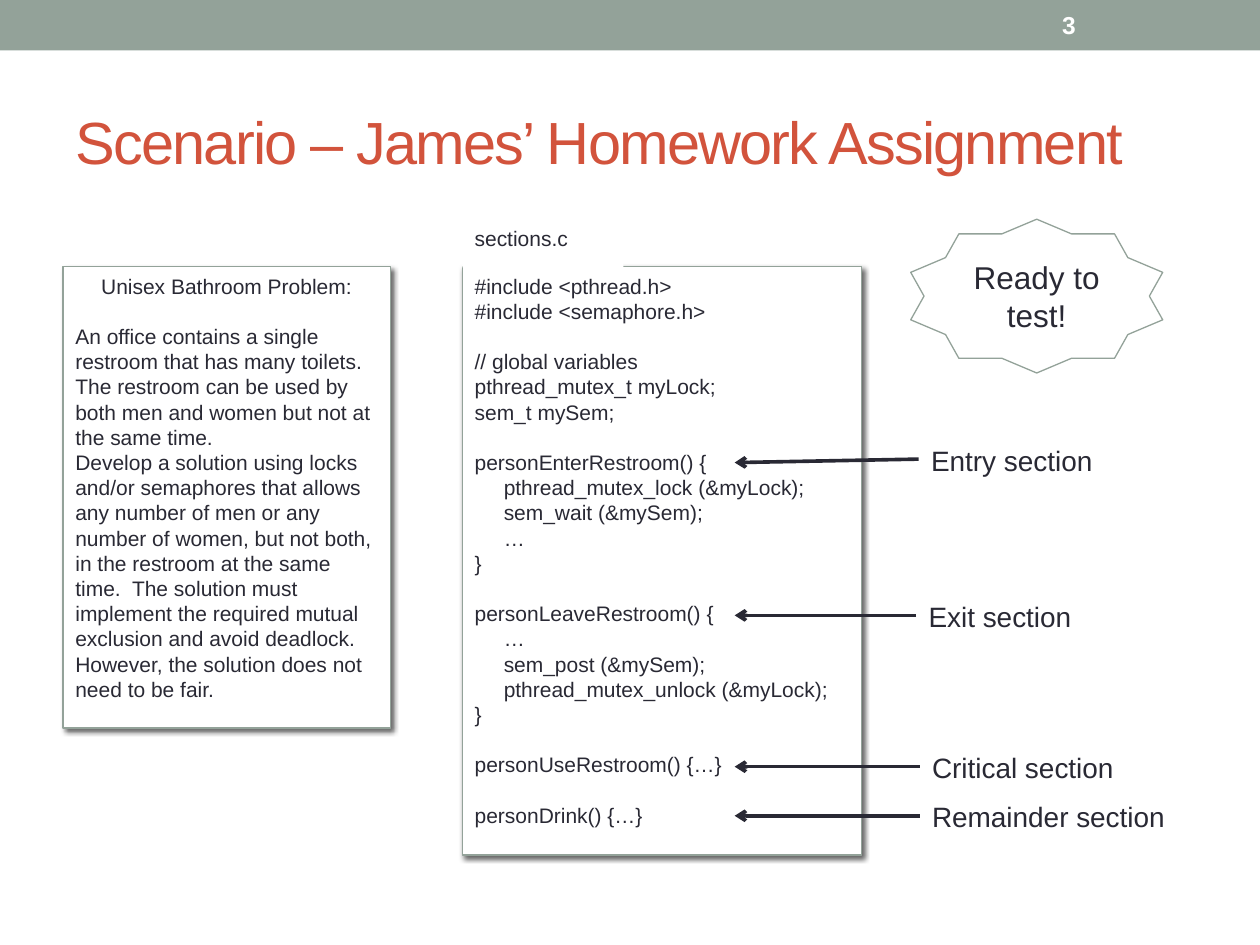
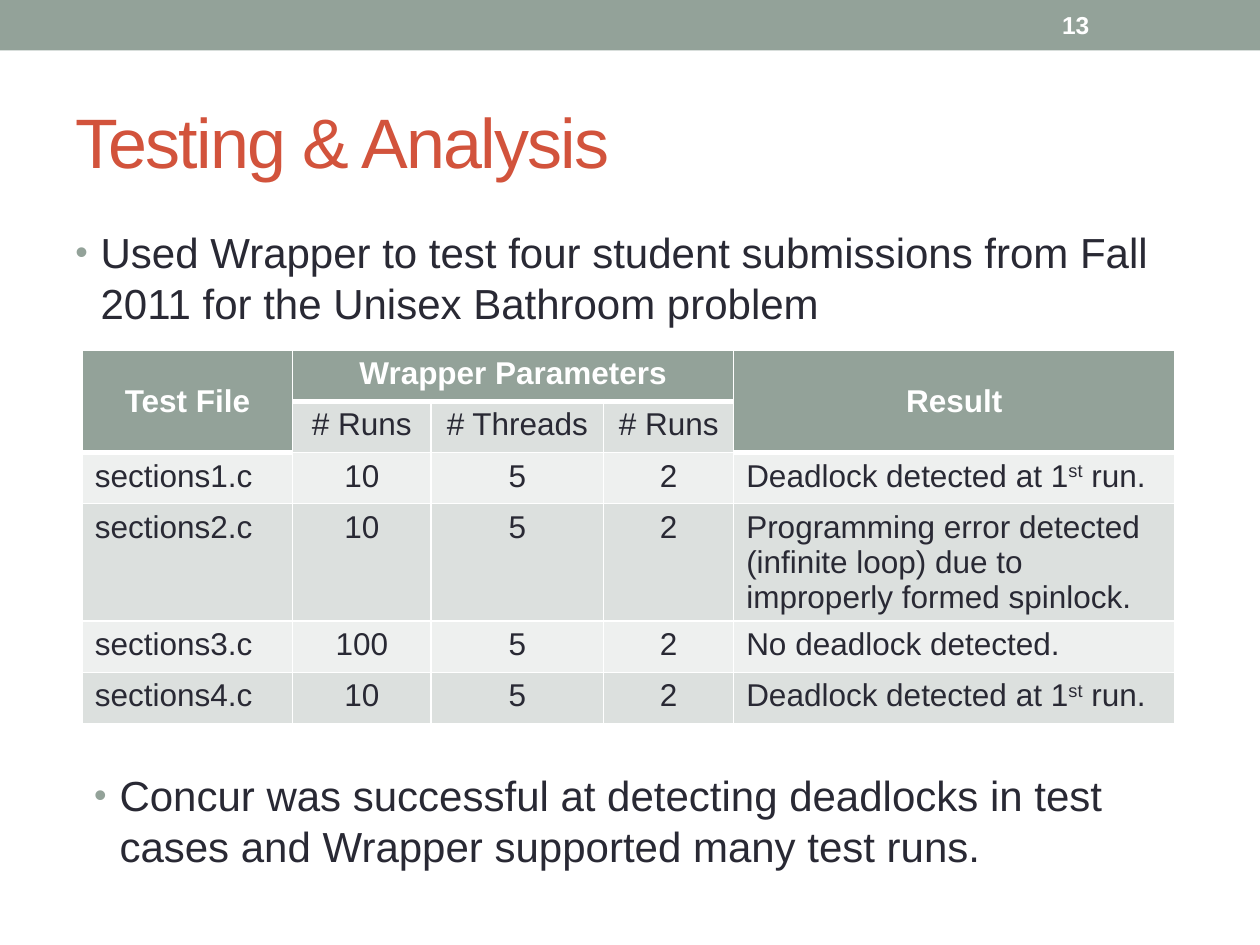
from dataclasses import dataclass

from lxml.etree import SubElement
from pptx import Presentation
from pptx.dml.color import RGBColor
from pptx.enum.shapes import MSO_CONNECTOR, MSO_SHAPE
from pptx.enum.text import MSO_ANCHOR, PP_ALIGN
from pptx.oxml.ns import qn
from pptx.util import Cm, Pt

# Shared look
HUES = {"sage": "93A299", "rust": "D2533C", "ink": "292934",
        "white": "FFFFFF", "pale": "EEF0EF", "mist": "DCE0DE"}
LEFT, MID = PP_ALIGN.LEFT, PP_ALIGN.CENTER
FONT = "Arial"
LEAD = 1.2


def hue(name: str) -> RGBColor:
    return RGBColor.from_string(HUES[name])


@dataclass
class Style:
    size: float
    color: str = "ink"
    bold: bool = False
    align: int = LEFT
    anchor: int = MSO_ANCHOR.TOP
    lead: float = 0
    track: int = 0
    dot: bool = False


@dataclass
class Box:
    left: float
    top: float
    wide: float
    high: float

    def area(self) -> tuple:
        return Cm(self.left), Cm(self.top), Cm(self.wide), Cm(self.high)


@dataclass
class Label:
    text: str
    box: Box
    drop: float = 0


MIDDLE = MSO_ANCHOR.MIDDLE
NUMBER = Style(14, "white", True, anchor=MIDDLE)
BODY = Style(12)
NOTE = Style(16)
STAR = Style(18, align=MID, anchor=MIDDLE)
BULLET = Style(24, dot=True)


# Text
def add_dot(para) -> None:
    props = para._p.get_or_add_pPr()
    for key, value in {"marL": Cm(0.51), "indent": -Cm(0.51)}.items():
        props.set(key, str(int(value)))
    tint = SubElement(props, qn("a:buClr"))
    SubElement(tint, qn("a:srgbClr"), val=HUES["sage"])
    SubElement(props, qn("a:buSzPct"), val="85000")
    SubElement(props, qn("a:buFont"), typeface=FONT)
    SubElement(props, qn("a:buChar"), char="•")


def add_runs(para, text: str, style: Style) -> None:
    """Text between carets is raised."""
    form = {"name": FONT, "size": Pt(style.size), "bold": style.bold}
    for pos, part in enumerate(text.split("^")):
        run = para.add_run()
        run.text = part
        for key, value in form.items():
            setattr(run.font, key, value)
        run.font.color.rgb = hue(style.color)
        props = run._r.get_or_add_rPr()
        if style.track:
            props.set("spc", str(style.track))
        if pos % 2:
            props.set("baseline", "30000")


def write(frame, lines: list[str], style: Style, head: int | None = None) -> None:
    """An empty line becomes space before the next paragraph."""
    lead = Pt(style.lead or style.size * LEAD)
    frame.word_wrap = True
    frame.vertical_anchor = style.anchor
    gap = False
    for pos, text in enumerate(lines):
        if not text:
            gap = True
            continue
        para = frame.paragraphs[0] if pos == 0 else frame.add_paragraph()
        if style.dot:
            add_dot(para)
        form = {"alignment": style.align, "line_spacing": lead}
        if gap:
            form["space_before"] = lead
        if pos == 0 and head is not None:
            form["alignment"] = head
        for key, value in form.items():
            setattr(para, key, value)
        add_runs(para, text, style)
        gap = False


# Drawing helpers
def add_text(slide, box: Box, lines: list[str], style: Style) -> None:
    write(slide.shapes.add_textbox(*box.area()).text_frame, lines, style)


def add_form(slide, kind: int, box: Box, fill: str | None, line: str | None = None):
    shape = slide.shapes.add_shape(kind, *box.area())
    shape.shadow.inherit = False
    if fill:
        shape.fill.solid()
        shape.fill.fore_color.rgb = hue(fill)
    else:
        shape.fill.background()
    if line:
        shape.line.color.rgb = hue(line)
        shape.line.width = Pt(0.75)
    else:
        shape.line.fill.background()
    return shape


def add_shade(shape) -> None:
    effect = shape._element.spPr.find(qn("a:effectLst"))
    shade = SubElement(effect, qn("a:outerShdw"), blurRad=str(Pt(3)), dist=str(Pt(2)),
                       dir="2700000", algn="br", rotWithShape="0")
    tint = SubElement(shade, qn("a:srgbClr"), val="000000")
    SubElement(tint, qn("a:alpha"), val="60000")


def add_panel(slide, box: Box, lines: list[str], head: int) -> None:
    shape = add_form(slide, MSO_SHAPE.RECTANGLE, box, "white", "sage")
    add_shade(shape)
    write(shape.text_frame, lines, BODY, head)


def add_label(slide, label: Label, style: Style) -> None:
    shape = add_form(slide, MSO_SHAPE.RECTANGLE, label.box, "white")
    write(shape.text_frame, [label.text], style)


def add_arrow(slide, label: Label, tip: float) -> None:
    y = label.box.top + label.box.high / 2
    line = slide.shapes.add_connector(MSO_CONNECTOR.STRAIGHT, Cm(label.box.left), Cm(y),
                                      Cm(tip), Cm(y + label.drop))
    line.line.color.rgb = hue("ink")
    line.line.width = Pt(2.08)
    SubElement(line.line._get_or_add_ln(), qn("a:tailEnd"), type="arrow")
    SubElement(line._element.spPr, qn("a:effectLst"))


def add_base(deck, title: str, size: float, number: int):
    """Blank slide with band, title and number."""
    slide = deck.slides.add_slide(deck.slide_layouts[6])
    add_form(slide, MSO_SHAPE.RECTANGLE, Box(0, 0, 25.4, 1.02), "sage")
    add_text(slide, Box(1.27, 1.47, 22.86, 2.74), [title],
             Style(size, "rust", anchor=MIDDLE, track=-100))
    add_text(slide, Box(21.16, 0.05, 2.97, 0.91), [str(number)], NUMBER)
    return slide


# Scenario slide
TASK = [
    "Unisex Bathroom Problem:",
    "",
    "An office contains a single restroom that has many toilets.  The restroom can be "
    "used by both men and women but not at the same time.",
    "Develop a solution using locks and/or semaphores that allows any number of men or "
    "any number of women, but not both, in the restroom at the same time.  The solution "
    "must implement the required mutual exclusion and avoid deadlock.  However, the "
    "solution does not need to be fair.",
]
CODE = """#include <pthread.h>
#include <semaphore.h>

// global variables
pthread_mutex_t myLock;
sem_t mySem;

personEnterRestroom() {
     pthread_mutex_lock (&myLock);
     sem_wait (&mySem);
     …
}

personLeaveRestroom() {
     …
     sem_post (&mySem);
     pthread_mutex_unlock (&myLock);
}

personUseRestroom() {…}

personDrink() {…}"""
PARTS = [
    Label("Entry section", Box(18.52, 8.81, 4.19, 0.89), 0.07),
    Label("Exit section", Box(18.47, 11.96, 4.19, 0.89)),
    Label("Critical section", Box(18.54, 15.01, 4.19, 0.89)),
    Label("Remainder section", Box(18.54, 16, 5.44, 0.89)),
]


def draw_task(deck) -> None:
    slide = add_base(deck, "Scenario – James’ Homework Assignment", 34, 3)
    add_panel(slide, Box(1.27, 5.38, 6.6, 9.3), TASK, MID)
    add_panel(slide, Box(9.32, 5.38, 8.05, 11.86), CODE.split("\n"), LEFT)
    add_label(slide, Label("sections.c", Box(9.32, 4.42, 3.25, 0.97)), BODY)
    for part in PARTS:
        add_label(slide, part, NOTE)
    for part in PARTS:
        add_arrow(slide, part, 14.81)
    star = add_form(slide, MSO_SHAPE.STAR_10_POINT, Box(18.36, 4.42, 5.08, 3.1), None, "sage")
    write(star.text_frame, ["Ready to test!"], STAR)


# Testing slide
COLS = [4.24, 2.79, 3.48, 2.62, 8.89]
ROW = 1.03
LOCK = "Deadlock detected at 1^st^ run."
ROWS = [
    ["Test File", "Wrapper Parameters", "", "", "Result"],
    ["", "# Runs", "# Threads", "# Runs", ""],
    ["sections1.c", "10", "5", "2", LOCK],
    ["sections2.c", "10", "5", "2",
     "Programming error detected (infinite loop) due to improperly formed spinlock."],
    ["sections3.c", "100", "5", "2", "No deadlock detected."],
    ["sections4.c", "10", "5", "2", LOCK],
]
SPANS = [((0, 0), (1, 0)), ((0, 1), (0, 3)), ((0, 4), (1, 4))]


def add_rims(cell, top: float, base: float) -> None:
    props = cell._tc.get_or_add_tcPr()
    for side, width in {"L": 1, "R": 1, "T": top, "B": base}.items():
        rim = SubElement(props, qn(f"a:ln{side}"), w=str(Pt(width)))
        fill = SubElement(rim, qn("a:solidFill"))
        SubElement(fill, qn("a:srgbClr"), val=HUES["white"])


def add_grid(slide) -> None:
    box = Box(1.66, 7.06, sum(COLS), ROW * len(ROWS))
    grid = slide.shapes.add_table(len(ROWS), len(COLS), *box.area()).table
    for col, wide in zip(grid.columns, COLS):
        col.width = Cm(wide)
    for row in grid.rows:
        row.height = Cm(ROW)
    for start, end in SPANS:
        grid.cell(*start).merge(grid.cell(*end))
    for r, texts in enumerate(ROWS):
        for c, text in enumerate(texts):
            cell = grid.cell(r, c)
            edge = c in (0, len(COLS) - 1)
            last = 1 if edge else 0
            head = r <= last
            add_rims(cell, 3 if r == last + 1 else 1, 3 if head else 1)
            cell.fill.solid()
            cell.fill.fore_color.rgb = hue("sage" if head else "mist" if r % 2 else "pale")
            if text:
                style = Style(18, "white" if head else "ink", head,
                              MID if head or not edge else LEFT, lead=20)
                write(cell.text_frame, [text], style)
                cell.vertical_anchor = MIDDLE if head and edge else MSO_ANCHOR.TOP


def draw_test(deck) -> None:
    slide = add_base(deck, "Testing & Analysis", 40, 13)
    add_text(slide, Box(1.27, 4.45, 22.86, 2.51),
             ["Used Wrapper to test four student submissions from Fall 2011 for the "
              "Unisex Bathroom problem"], BULLET)
    add_grid(slide)
    add_text(slide, Box(1.65, 15.39, 22.86, 2.9),
             ["Concur was successful at detecting deadlocks in test cases and Wrapper "
              "supported many test runs."], BULLET)


def main() -> None:
    deck = Presentation()
    deck.slide_width, deck.slide_height = Cm(25.4), Cm(19.05)
    draw_task(deck)
    draw_test(deck)
    deck.save("out.pptx")


if __name__ == "__main__":
    main()
